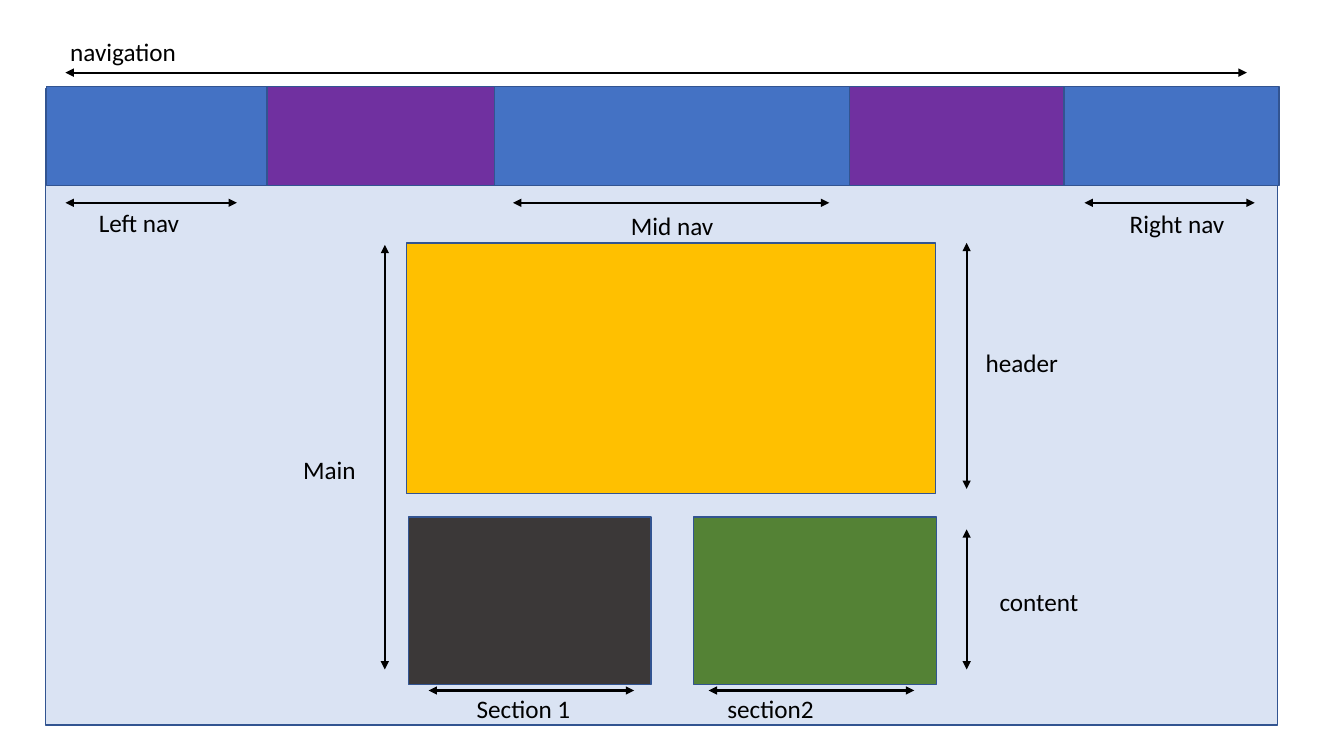
from lxml.etree import SubElement
from pptx import Presentation
from pptx.dml.color import RGBColor
from pptx.enum.shapes import MSO_CONNECTOR, MSO_SHAPE
from pptx.enum.text import MSO_AUTO_SIZE
from pptx.oxml.ns import qn
from pptx.util import Cm, Pt

PALE = RGBColor(0xDA, 0xE3, 0xF3)
BLUE = RGBColor(0x44, 0x72, 0xC4)
PURPLE = RGBColor(0x70, 0x30, 0xA0)
GOLD = RGBColor(0xFF, 0xC0, 0x00)
GREY = RGBColor(0x3B, 0x38, 0x38)
GREEN = RGBColor(0x54, 0x82, 0x35)
EDGE = RGBColor(0x32, 0x54, 0x91)
BLACK = RGBColor(0, 0, 0)

# All lengths are in centimetres.
PAGE = (1.14, 2.24, 31.06, 16.03, PALE)
NAV_TOP, NAV_HIGH = 2.18, 2.49
NAV = [  # left, width, colour, from back to front
    (1.17, 6.55, BLUE),
    (25.68, 6.55, BLUE),
    (6.73, 5.92, PURPLE),
    (20.9, 5.92, PURPLE),
    (12.47, 8.94, BLUE),
]
HEADER = (10.24, 6.12, 13.34, 6.32, GOLD)
SECTION_TOP, SECTION_WIDE, SECTION_HIGH = 13.03, 6.12, 4.22
SECTIONS = [(10.29, GREY), (17.48, GREEN)]

ACROSS = [  # y, from x, to x
    (1.83, 1.65, 31.42),
    (5.11, 1.65, 5.97),
    (5.11, 27.33, 31.62),
    (5.11, 12.93, 20.9),
    (17.4, 10.8, 15.98),
    (17.4, 17.86, 23.04),
]
DOWN = [  # x, from y, to y
    (9.7, 6.17, 16.87),
    (24.36, 6.12, 12.32),
    (24.36, 13.34, 16.87),
]
LABELS = [  # text, left, top, width
    ("navigation", 1.52, 0.79, 8.94),
    ("Left nav", 2.24, 5.11, 3.18),
    ("Right nav", 28.22, 5.13, 3.18),
    ("Mid nav", 15.65, 5.18, 4.88),
    ("Main", 7.39, 11.33, 4.52),
    ("header", 24.59, 8.64, 4.6),
    ("content", 24.94, 14.66, 4.24),
    ("Section 1", 11.76, 17.35, 5.18),
    ("section2", 18.08, 17.35, 4.72),
]
LABEL_HIGH = 1.02


def add_box(slide, left, top, width, height, fill):
    box = slide.shapes.add_shape(
        MSO_SHAPE.RECTANGLE, Cm(left), Cm(top), Cm(width), Cm(height))
    box.shadow.inherit = False
    box.fill.solid()
    box.fill.fore_color.rgb = fill
    box.line.color.rgb = EDGE
    box.line.width = Pt(1)


def add_arrow(slide, x1, y1, x2, y2):
    """Draw a line with a triangle at both ends."""
    arrow = slide.shapes.add_connector(
        MSO_CONNECTOR.STRAIGHT, Cm(x1), Cm(y1), Cm(x2), Cm(y2))
    arrow.line.color.rgb = BLACK
    arrow.line.width = Pt(1.5)
    line = arrow.line._get_or_add_ln()
    for end in ("a:headEnd", "a:tailEnd"):
        SubElement(line, qn(end), type="triangle")
    SubElement(arrow._element.spPr, qn("a:effectLst"))


def add_text(slide, text, left, top, width, size=18, font="Calibri", color=BLACK):
    box = slide.shapes.add_textbox(Cm(left), Cm(top), Cm(width), Cm(LABEL_HIGH))
    frame = box.text_frame
    frame.word_wrap = True
    frame.auto_size = MSO_AUTO_SIZE.SHAPE_TO_FIT_TEXT
    run = frame.paragraphs[0].add_run()
    run.text = text
    run.font.size = Pt(size)
    run.font.name = font
    run.font.color.rgb = color


def main():
    deck = Presentation()
    deck.slide_width, deck.slide_height = Cm(33.87), Cm(19.05)
    slide = deck.slides.add_slide(deck.slide_layouts[6])

    add_box(slide, *PAGE)
    for left, width, fill in NAV:
        add_box(slide, left, NAV_TOP, width, NAV_HIGH, fill)
    add_box(slide, *HEADER)
    for left, fill in SECTIONS:
        add_box(slide, left, SECTION_TOP, SECTION_WIDE, SECTION_HIGH, fill)

    for y, start, end in ACROSS:
        add_arrow(slide, start, y, end, y)
    for x, start, end in DOWN:
        add_arrow(slide, x, start, x, end)
    for label in LABELS:
        add_text(slide, *label)

    deck.save("out.pptx")


if __name__ == "__main__":
    main()
